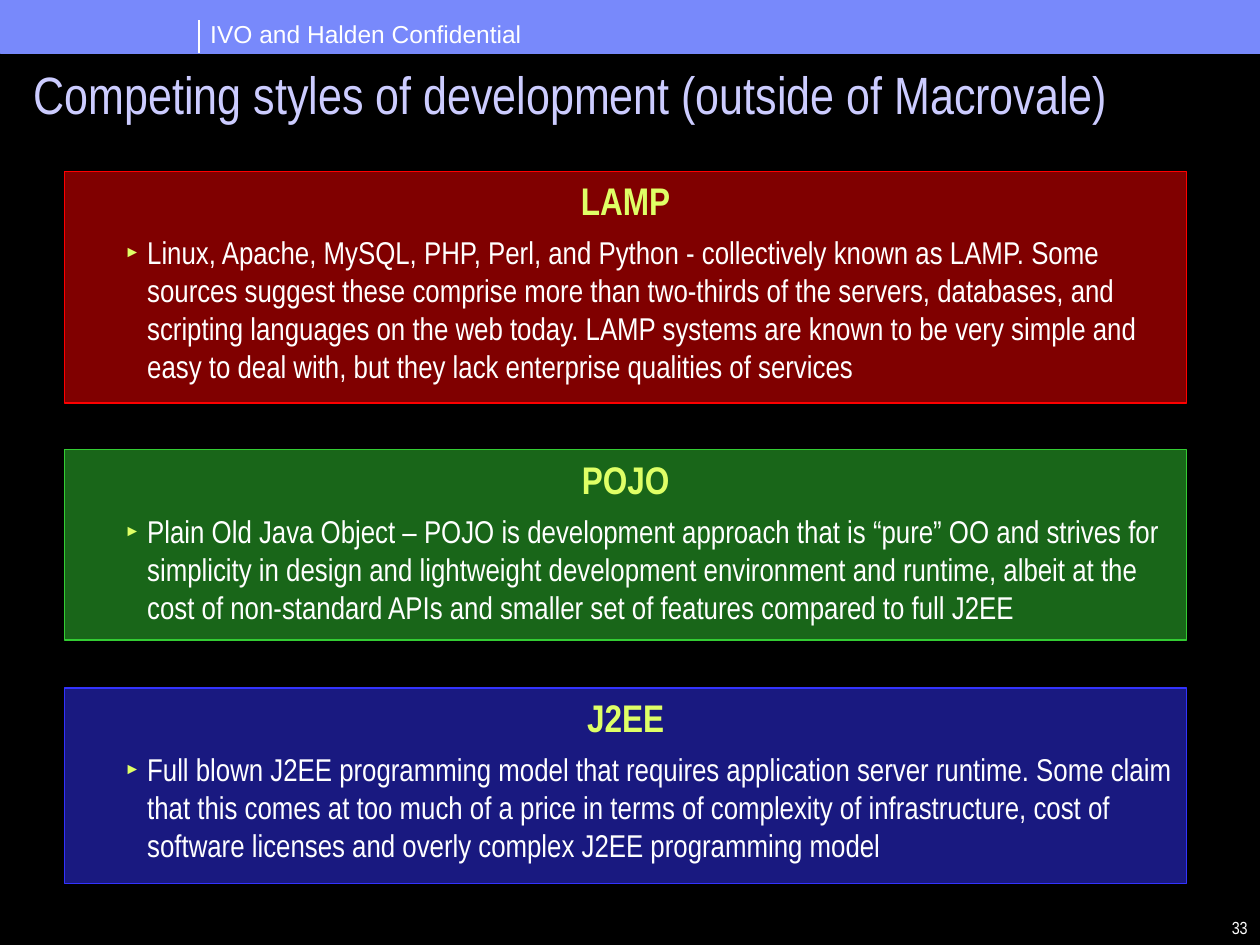
from lxml.etree import SubElement
from pptx import Presentation
from pptx.dml.color import RGBColor
from pptx.enum.shapes import MSO_CONNECTOR, MSO_SHAPE
from pptx.enum.text import MSO_ANCHOR, PP_ALIGN
from pptx.oxml.ns import qn
from pptx.util import Inches, Pt

BLACK = RGBColor(0x00, 0x00, 0x00)
WHITE = RGBColor(0xFF, 0xFF, 0xFF)
BANNER = RGBColor(0x78, 0x89, 0xFB)
LAVENDER = RGBColor(0xCC, 0xCC, 0xFF)
LIME = RGBColor(0xDF, 0xFF, 0x66)
RED = RGBColor(0xFF, 0x00, 0x00)
GREEN = RGBColor(0x33, 0xCC, 0x33)
BLUE = RGBColor(0x33, 0x33, 0xFF)

PANEL_LEFT, PANEL_WIDTH = 0.51, 8.91
PANELS = [
    (1.36, 1.84, RED, "LAMP",
     "Linux, Apache, MySQL, PHP, Perl, and Python - collectively known as LAMP. "
     "Some sources suggest these comprise more than two-thirds of the servers, "
     "databases, and scripting languages on the web today. LAMP systems are known "
     "to be very simple and easy to deal with, but they lack enterprise qualities "
     "of services"),
    (3.57, 1.51, GREEN, "POJO",
     "Plain Old Java Object – POJO is development approach that is “pure” OO and "
     "strives for simplicity in design and lightweight development environment and "
     "runtime, albeit at the cost of non-standard APIs and smaller set of features "
     "compared to full J2EE"),
    (5.46, 1.55, BLUE, "J2EE",
     "Full blown J2EE programming model that requires application server runtime. "
     "Some claim that this comes at too much of a price in terms of complexity of "
     "infrastructure, cost of software licenses and overly complex J2EE "
     "programming model"),
]


def set_attributes(target, values):
    for name, value in values.items():
        setattr(target, name, value)


class SlideBuilder:
    """Holds the text styles and the slide being filled."""

    styles = {
        "banner": {"name": "Arial", "size": Pt(14), "color": WHITE},
        "title": {"name": "Arial Narrow", "size": Pt(30), "color": LAVENDER},
        "heading": {"name": "Arial Narrow", "size": Pt(22), "color": LIME, "bold": True},
        "body": {"name": "Arial Narrow", "size": Pt(18), "color": WHITE},
        "number": {"name": "Arial Narrow", "size": Pt(10), "color": WHITE},
    }

    def __init__(self, slide):
        self.slide = slide
        slide.background.fill.solid()
        slide.background.fill.fore_color.rgb = BLACK

    def add_styled_run(self, paragraph, text, style, **layout):
        run = paragraph.add_run()
        run.text = text
        values = dict(self.styles[style])
        run.font.color.rgb = values.pop("color")
        set_attributes(run.font, values)
        set_attributes(paragraph, layout)

    def indent(self, paragraph, margin, first_line):
        properties = paragraph._p.get_or_add_pPr()
        properties.set("marL", str(Inches(margin)))
        properties.set("indent", str(Inches(first_line)))
        return properties

    def bullet(self, paragraph):
        properties = self.indent(paragraph, 0.56, -0.18)
        color = SubElement(properties, qn("a:buClr"))
        SubElement(color, qn("a:srgbClr"), val=str(LIME))
        SubElement(properties, qn("a:buSzPct"), val="50000")
        SubElement(properties, qn("a:buFont"), typeface="Arial")
        SubElement(properties, qn("a:buChar"), char="►")

    def text(self, left, top, width, height, text, style, wrap=True, **layout):
        box = self.slide.shapes.add_textbox(
            Inches(left), Inches(top), Inches(width), Inches(height))
        box.text_frame.word_wrap = wrap
        self.add_styled_run(box.text_frame.paragraphs[0], text, style, **layout)

    def rectangle(self, left, top, width, height, color, line_width):
        shape = self.slide.shapes.add_shape(
            MSO_SHAPE.RECTANGLE,
            Inches(left), Inches(top), Inches(width), Inches(height))
        shape.shadow.inherit = False
        shape.fill.solid()
        shape.fill.fore_color.rgb = color
        shape.line.color.rgb = color
        shape.line.width = Pt(line_width)
        return shape

    def vertical_line(self, left, top, bottom):
        line = self.slide.shapes.add_connector(
            MSO_CONNECTOR.STRAIGHT,
            Inches(left), Inches(top), Inches(left), Inches(bottom))
        line.line.color.rgb = WHITE
        line.line.width = Pt(0.75)
        SubElement(line._element.spPr, qn("a:effectLst"))

    def panel(self, top, height, color, heading, body):
        """Half-transparent box with a centred heading and one bullet."""
        shape = self.rectangle(PANEL_LEFT, top, PANEL_WIDTH, height, color, 0.75)
        fill_color = shape._element.spPr.find(qn("a:solidFill"))[0]
        SubElement(fill_color, qn("a:alpha"), val="50000")
        frame = shape.text_frame
        set_attributes(frame, {"word_wrap": True, "vertical_anchor": MSO_ANCHOR.TOP})
        first = frame.paragraphs[0]
        self.indent(first, 0.25, -0.25)
        self.add_styled_run(first, heading, "heading", alignment=PP_ALIGN.CENTER)
        second = frame.add_paragraph()
        self.bullet(second)
        self.add_styled_run(second, body, "body", level=1, alignment=PP_ALIGN.LEFT,
                            space_before=Pt(5.6), space_after=Pt(3.4))


def main():
    presentation = Presentation()
    presentation.slide_width = Inches(10)
    presentation.slide_height = Inches(7.5)
    builder = SlideBuilder(
        presentation.slides.add_slide(presentation.slide_layouts[6]))

    builder.rectangle(0, 0, 10, 0.42, BANNER, 0.25)
    builder.text(1.57, 0.1, 2.72, 0.34, "IVO and Halden Confidential", "banner",
                 wrap=False)
    builder.vertical_line(1.58, 0.16, 0.42)
    builder.text(9.01, 7.23, 0.99, 0.27, "33", "number", alignment=PP_ALIGN.RIGHT)
    builder.text(0.17, 0.5, 9.02, 0.83,
                 "Competing styles of development (outside of Macrovale)", "title",
                 line_spacing=0.9)
    for panel in PANELS:
        builder.panel(*panel)

    presentation.save("out.pptx")


if __name__ == "__main__":
    main()
